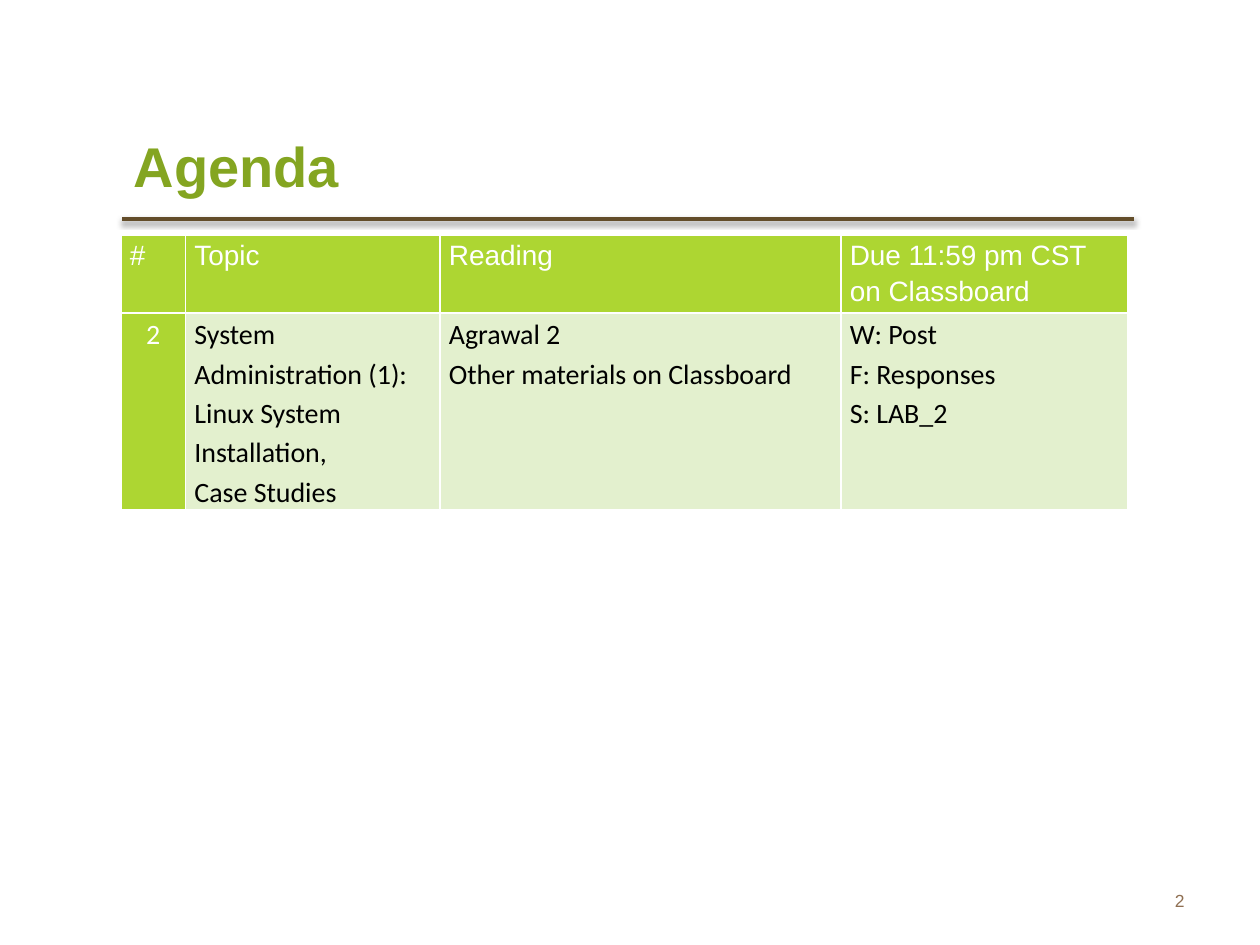
import pptx
import pptx.dml.color
import pptx.enum.shapes
import pptx.enum.text
import pptx.oxml
import pptx.oxml.ns
import pptx.util
from pptx.util import Cm

# Content
TITLE = "Agenda"
PAGE = "2"
HEADER = ["#", "Topic", "Reading", "Due 11:59 pm CST on Classboard"]
WEEK = [
    "2",
    "System Administration (1): Linux System Installation,\nCase Studies",
    "Agrawal 2\nOther materials on Classboard",
    "W: Post\nF: Responses\nS: LAB_2",
]

# Format
GREEN, PALE, WHITE, BLACK = "ADD632", "E3F0CE", "FFFFFF", "000000"
COLUMN_WIDTHS = [1.3, 5.13, 8.08, 5.79]
ROW_HEIGHTS = [1.45, 3.96]
NS = pptx.oxml.ns.nsdecls("a")
ALIGN = pptx.enum.text.PP_ALIGN
MIDDLE = pptx.enum.text.MSO_ANCHOR.MIDDLE


def rgb(value):
    return pptx.dml.color.RGBColor.from_string(value)


def write(frame, text, *, size=16, font="Arial", color=BLACK, bold=False,
          align=ALIGN.LEFT, spacing=None):
    frame.word_wrap = True
    frame.text = text
    for paragraph in frame.paragraphs:
        paragraph.alignment = align
        paragraph.line_spacing = spacing
        for run in paragraph.runs:
            run.font.size = pptx.util.Pt(size)
            run.font.name = font
            run.font.bold = bold
            run.font.color.rgb = rgb(color)


def add_borders(cell, color, points):
    properties = cell._tc.get_or_add_tcPr()
    for side in ("lnL", "lnR", "lnT", "lnB"):
        properties.append(pptx.oxml.parse_xml(
            f'<a:{side} {NS} w="{pptx.util.Pt(points)}"><a:solidFill>'
            f'<a:srgbClr val="{color}"/></a:solidFill></a:{side}>'))


def main():
    deck = pptx.Presentation()
    deck.slide_width, deck.slide_height = Cm(25.4), Cm(19.05)
    slide = deck.slides.add_slide(deck.slide_layouts[5])

    # Rule under the title, with a soft shadow
    rule = slide.shapes.add_connector(
        pptx.enum.shapes.MSO_CONNECTOR.STRAIGHT,
        Cm(2.46), Cm(4.42), Cm(22.86), Cm(4.42))
    rule.line.color.rgb = rgb("634D2A")
    rule.line.width = pptx.util.Pt(2)
    rule._element.spPr.append(pptx.oxml.parse_xml(
        f'<a:effectLst {NS}><a:outerShdw blurRad="{pptx.util.Pt(3.1)}" '
        f'dist="{pptx.util.Pt(1.6)}" dir="5400000" rotWithShape="0">'
        '<a:srgbClr val="000000"><a:alpha val="38000"/></a:srgbClr>'
        '</a:outerShdw></a:effectLst>'))

    # Title
    title = slide.shapes.title
    title.left, title.top = Cm(2.44), Cm(2.18)
    title.width, title.height = Cm(14.66), Cm(2.29)
    title.text_frame.vertical_anchor = MIDDLE
    write(title.text_frame, TITLE, size=32, color="84A521", bold=True)

    # Page number
    number = slide.shapes.add_textbox(Cm(18.21), Cm(17.65), Cm(5.92), Cm(1.02))
    number.text_frame.vertical_anchor = MIDDLE
    write(number.text_frame, PAGE, size=10, color="8F6F52", align=ALIGN.RIGHT)

    # Agenda table
    agenda = slide.shapes.add_table(
        2, len(HEADER), Cm(2.44), Cm(4.75),
        Cm(sum(COLUMN_WIDTHS)), Cm(sum(ROW_HEIGHTS))).table
    for column, width in zip(agenda.columns, COLUMN_WIDTHS):
        column.width = Cm(width)
    for row, height in zip(agenda.rows, ROW_HEIGHTS):
        row.height = Cm(height)
    for r, texts in enumerate([HEADER, WEEK]):
        for c, text in enumerate(texts):
            cell = agenda.cell(r, c)
            is_label = r == 0 or c == 0
            cell.margin_left = cell.margin_right = Cm(0.18)
            cell.margin_top = cell.margin_bottom = 0
            add_borders(cell, WHITE, 1)
            cell.fill.solid()
            cell.fill.fore_color.rgb = rgb(GREEN if is_label else PALE)
            write(cell.text_frame, text,
                  font="Calibri" if r else "Arial",
                  color=WHITE if is_label else BLACK,
                  align=ALIGN.CENTER if r and c == 0 else ALIGN.LEFT,
                  spacing=1.15)

    deck.save("out.pptx")


if __name__ == "__main__":
    main()
